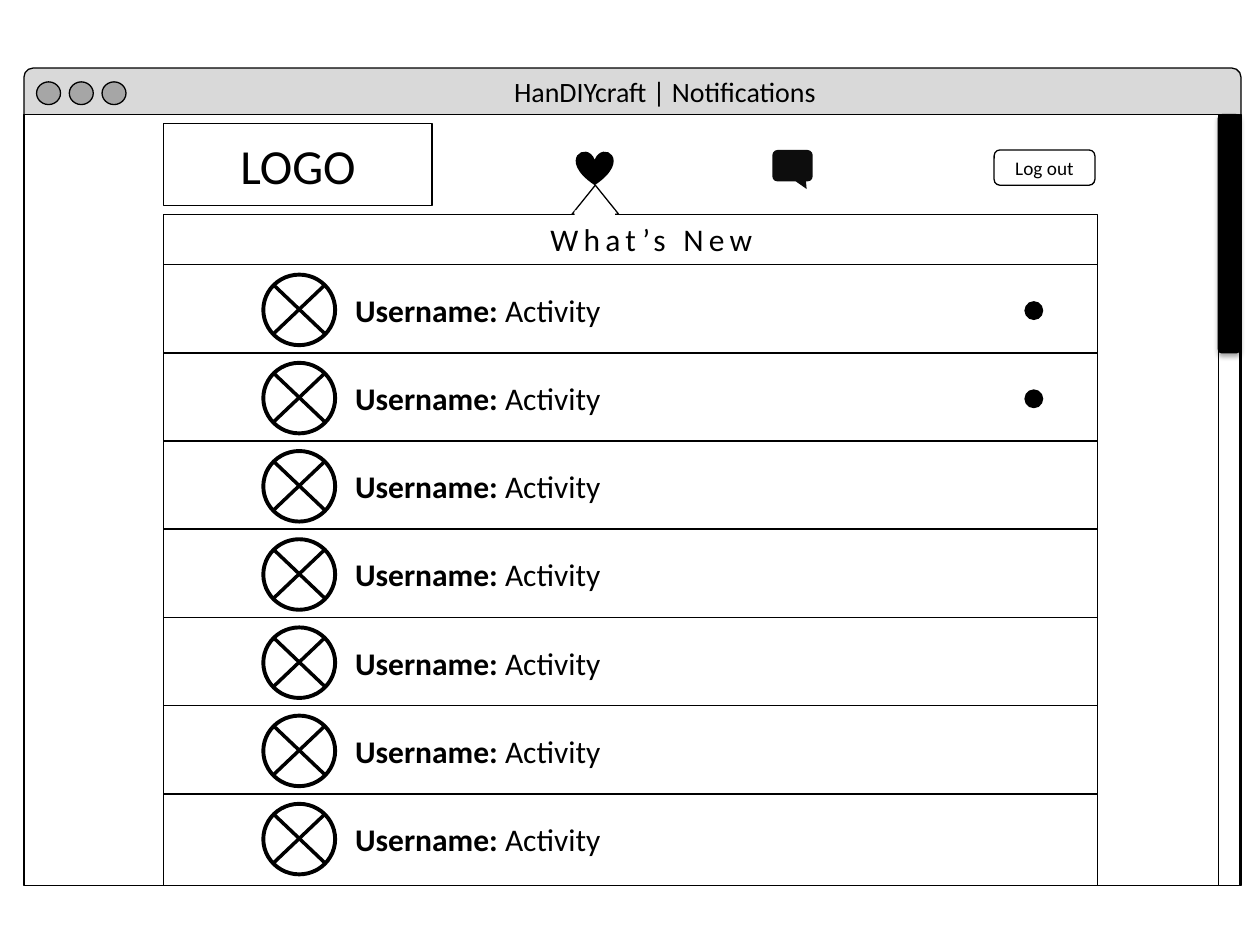
from lxml import etree
from pptx import Presentation
from pptx.dml.color import RGBColor
from pptx.enum.shapes import MSO_CONNECTOR, MSO_SHAPE
from pptx.enum.text import MSO_ANCHOR, MSO_AUTO_SIZE, PP_ALIGN
from pptx.oxml.ns import qn
from pptx.util import Inches, Pt

RECT, ROUNDED = MSO_SHAPE.RECTANGLE, MSO_SHAPE.ROUNDED_RECTANGLE
OVAL, HEART = MSO_SHAPE.OVAL, MSO_SHAPE.HEART
TRIANGLE, CALLOUT = MSO_SHAPE.ISOSCELES_TRIANGLE, MSO_SHAPE.ROUNDED_RECTANGULAR_CALLOUT
STRAIGHT = MSO_CONNECTOR.STRAIGHT
TOP, MIDDLE = MSO_ANCHOR.TOP, MSO_ANCHOR.MIDDLE
LEFT, CENTER = PP_ALIGN.LEFT, PP_ALIGN.CENTER
NO_AUTOFIT = MSO_AUTO_SIZE.NONE

BLACK = RGBColor(0x00, 0x00, 0x00)
INK = RGBColor(0x0D, 0x0D, 0x0D)
WHITE = RGBColor(0xFF, 0xFF, 0xFF)
BAR_GREY = RGBColor(0xD9, 0xD9, 0xD9)
BUTTON_GREY = RGBColor(0xA6, 0xA6, 0xA6)
FONT = "Calibri"

# Browser window, in inches
WINDOW_LEFT, WINDOW_WIDTH = 0.19, 9.66
BAR_TOP, PAGE_TOP, PAGE_BOTTOM = 0.54, 0.91, 7.03
SCROLL_LEFT, SCROLL_WIDTH = 9.67, 0.17

# Notification list: one row per activity
LIST_LEFT, LIST_TOP, LIST_WIDTH = 1.3, 1.7, 7.41
FIRST_ROW, ROW_HEIGHT, ROWS, UNREAD_ROWS = 2.1, 0.7, 7, 2


def add_box(slide, kind, left, top, width, height, fill=None, line=BLACK, weight=0.75):
    shape = slide.shapes.add_shape(
        kind, Inches(left), Inches(top), Inches(width), Inches(height))
    shape.shadow.inherit = False
    if fill is None:
        shape.fill.background()
    else:
        shape.fill.solid()
        shape.fill.fore_color.rgb = fill
    if line is None:
        shape.line.fill.background()
    else:
        shape.line.color.rgb = line
        shape.line.width = Pt(weight)
    return shape


def add_line(slide, x1, y1, x2, y2, weight=1):
    line = slide.shapes.add_connector(
        STRAIGHT, Inches(x1), Inches(y1), Inches(x2), Inches(y2))
    line.line.color.rgb = BLACK
    line.line.width = Pt(weight)
    etree.SubElement(line.element.spPr, qn("a:effectLst"))


def write(shape, text, size, bold_lead="", align=LEFT, anchor=TOP, spacing=0):
    frame = shape.text_frame
    frame.word_wrap = True
    frame.auto_size = NO_AUTOFIT
    frame.vertical_anchor = anchor
    paragraph = frame.paragraphs[0]
    paragraph.alignment = align
    for words, bold in ((bold_lead, True), (text, False)):
        if not words:
            continue
        run = paragraph.add_run()
        run.text = words
        run.font.name, run.font.size, run.font.bold = FONT, Pt(size), bold
        run.font.color.rgb = BLACK
        if spacing:
            run.font._element.set("spc", str(spacing * 100))


def add_label(slide, left, top, width, height, text, size, **text_format):
    label = slide.shapes.add_textbox(
        Inches(left), Inches(top), Inches(width), Inches(height))
    write(label, text, size, **text_format)


def add_drop_shadow(shape):
    effects = shape.element.spPr.find(qn("a:effectLst"))
    shadow = etree.SubElement(
        effects, qn("a:outerShdw"), blurRad=str(Pt(3.1)), dist=str(Pt(1.8)),
        dir="5400000", rotWithShape="0")
    color = etree.SubElement(shadow, qn("a:srgbClr"), val=str(BLACK))
    etree.SubElement(color, qn("a:alpha"), val="35000")


def add_title(slide, text):
    title = slide.shapes.title
    title.left, title.top = Inches(3.98), Inches(BAR_TOP)
    title.width, title.height = Inches(3), Inches(0.37)
    write(title, text, 16)
    # Bring the title in front of the window bar
    title.element.getparent().append(title.element)


def add_window(slide):
    page_height = PAGE_BOTTOM - PAGE_TOP
    add_box(slide, ROUNDED, WINDOW_LEFT, BAR_TOP, WINDOW_WIDTH, 0.44, BAR_GREY)
    add_box(slide, RECT, WINDOW_LEFT, PAGE_TOP, WINDOW_WIDTH, page_height, WHITE)
    for button in range(3):
        add_box(slide, OVAL, 0.29 + 0.26 * button, 0.65, 0.19, 0.18, BUTTON_GREY)
    add_box(slide, RECT, SCROLL_LEFT, PAGE_TOP, SCROLL_WIDTH, page_height, WHITE)
    thumb = add_box(slide, ROUNDED, SCROLL_LEFT, PAGE_TOP, SCROLL_WIDTH, 1.89, BLACK)
    add_drop_shadow(thumb)


def add_avatar(slide, left, top):
    add_box(slide, OVAL, left, top, 0.57, 0.56, weight=2.25)
    x1, x2 = left + 0.08, left + 0.49
    y1, y2 = top + 0.08, top + 0.47
    add_line(slide, x1, y1, x2, y2, weight=2)
    add_line(slide, x1, y2, x2, y1, weight=2)


def add_notifications(slide):
    add_box(slide, RECT, LIST_LEFT, LIST_TOP, LIST_WIDTH, PAGE_BOTTOM - LIST_TOP, WHITE)
    add_label(slide, 4.16, LIST_TOP, 2.02, 0.4, "What’s New", 18, align=CENTER, spacing=3)
    for row in range(ROWS):
        top = FIRST_ROW + ROW_HEIGHT * row
        add_line(slide, LIST_LEFT, top, LIST_LEFT + LIST_WIDTH, top)
        add_avatar(slide, 2.09, top + 0.08)
        add_label(slide, 2.72, top + 0.16, 3.01, 0.4, "Activity", 18,
                  bold_lead="Username: ")
        if row < UNREAD_ROWS:
            add_box(slide, OVAL, 8.13, top + 0.29, 0.15, 0.15, BLACK, line=None)


def add_navigation(slide):
    logo = add_box(slide, RECT, LIST_LEFT, 0.98, 2.13, 0.65, WHITE)
    write(logo, "LOGO", 28, align=CENTER, anchor=MIDDLE)

    # Selected heart tab, with a pointer that opens into the list
    add_box(slide, HEART, 4.57, 1.2, 0.3, 0.27, BLACK, line=None)
    add_box(slide, TRIANGLE, 4.54, 1.47, 0.37, 0.23, WHITE)
    add_box(slide, RECT, 4.56, 1.67, 0.32, 0.08, WHITE, line=None)

    log_out = add_box(slide, ROUNDED, 7.89, 1.19, 0.8, 0.28)
    write(log_out, "Log out", 11, align=CENTER, anchor=MIDDLE)

    messages = add_box(slide, CALLOUT, 6.13, 1.19, 0.32, 0.25, INK, line=None)
    messages.adjustments[0], messages.adjustments[1] = 0.35, 0.74


def main():
    prs = Presentation()
    prs.slide_width, prs.slide_height = Inches(10), Inches(7.5)
    slide = prs.slides.add_slide(prs.slide_layouts[5])
    add_window(slide)
    add_notifications(slide)
    add_title(slide, "HanDIYcraft | Notifications")
    add_navigation(slide)
    prs.save("out.pptx")


if __name__ == "__main__":
    main()
